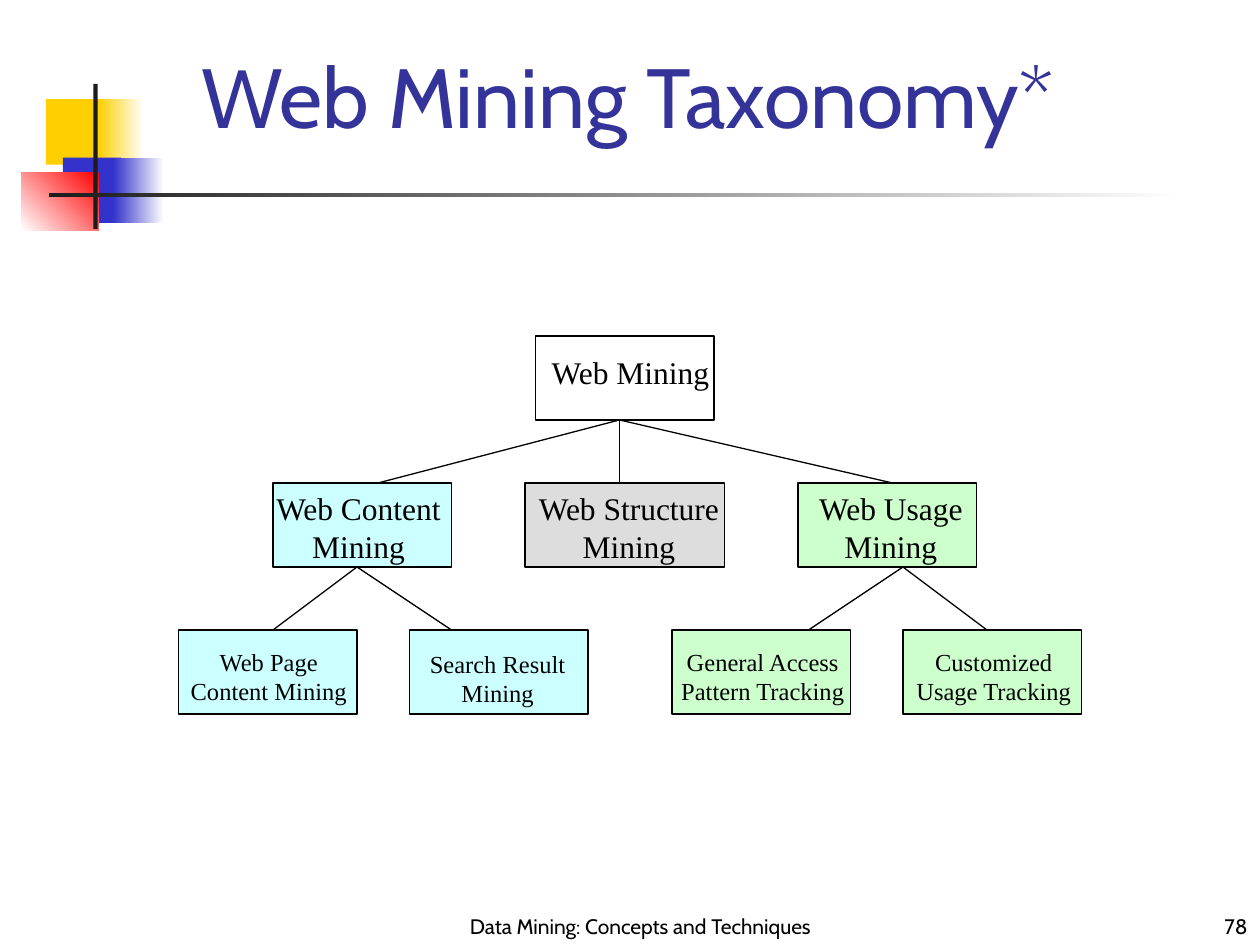
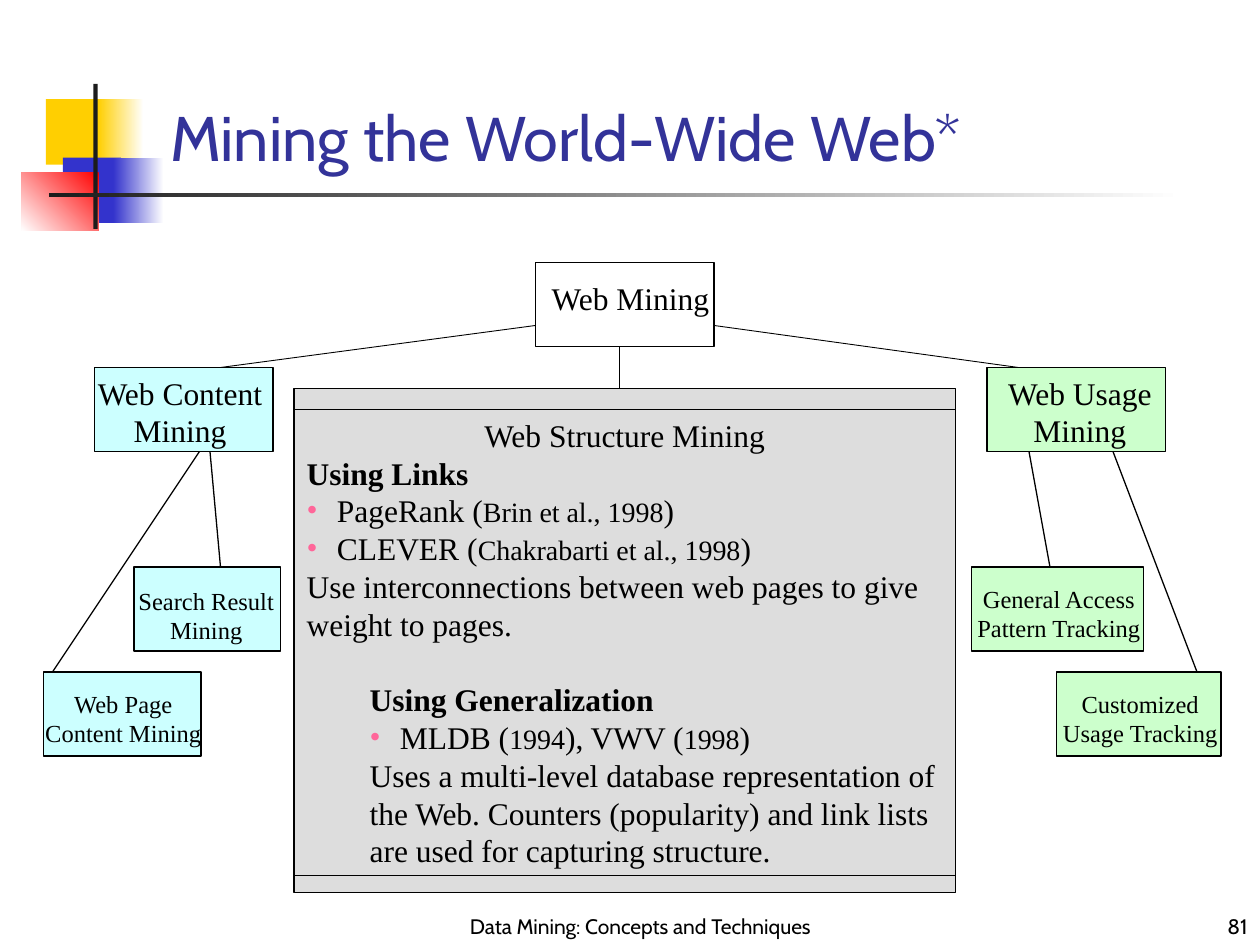
from dataclasses import dataclass

from lxml.etree import SubElement as Sub
from pptx import Presentation
from pptx.dml.color import RGBColor as Rgb
from pptx.enum.shapes import MSO_CONNECTOR as Conn, MSO_SHAPE as Kind
from pptx.enum.text import MSO_ANCHOR as Anchor, MSO_AUTO_SIZE as Fit, PP_ALIGN as Align
from pptx.oxml.ns import qn
from pptx.util import Inches, Length, Pt


# Theme: colours, fonts and sizes
@dataclass(frozen=True)
class Theme:
    ink: str = "000000"
    title: str = "333399"
    white: str = "FFFFFF"
    gold: str = "FFCF01"
    blue: str = "3333CC"
    red: str = "FF0000"
    dark: str = "1C1C1C"
    aqua: str = "CCFFFF"
    green: str = "CCFFCC"
    grey: str = "DDDDDD"
    pink: str = "FF6699"
    sans: str = "Cabin"
    serif: str = "Times New Roman"
    big: int = 18
    cite: int = 16
    small: int = 14
    foot: int = 12
    rule: float = 0.75
    thin: float = 0.5


T = Theme()
COLS, ROWS = 120, 90  # twelve grid steps to the inch
FOOTER = "Data Mining: Concepts and Techniques"
Point = tuple[float, float]
Area = tuple[float, float, float, float]


@dataclass(frozen=True)
class Topic:
    lines: tuple[str, ...]
    fill: str | None
    size: int
    wide: float  # label width
    shift: float = 0  # label centre against box centre
    drop: float = 0  # label top against box top


@dataclass(frozen=True)
class Node:
    topic: Topic
    left: float
    top: float
    wide: float = 17
    high: float = 8


@dataclass(frozen=True)
class Link:
    start: Point
    ends: tuple[Point, ...]
    width: float = T.rule


@dataclass(frozen=True)
class Band:
    area: Area
    color: str
    fade: str | None = None
    angle: int = 180


@dataclass(frozen=True)
class Para:
    text: str  # parts between bars are set in the citation size
    bold: bool = False
    bullet: bool = False
    center: bool = False
    level: int = 0
    gap: float = 0


# Corner motif and title rule
BANDS = (
    Band((4.38, 9.45, 5.76, 6.24), T.gold),
    Band((9.36, 9.45, 4.32, 6.24), T.white, T.gold),
    Band((6, 15, 5.52, 6.24), T.blue),
    Band((10.8, 15, 4.8, 6.24), T.white, T.blue),
    Band((2.04, 16.4, 7.36, 5.56), T.red, T.white, 225),
    Band((8.9, 8, 0.4, 13.8), T.dark),
    Band((4.68, 18.36, 108, 0.42), T.white, T.dark),
)

# Topics of the taxonomy
ROOT = Topic(("Web Mining",), None, T.big, 17.6, 0.55, 1)
CONTENT = Topic(("Web Content", "Mining"), T.aqua, T.big, 18.2, -0.35)
STRUCT = Topic(("Web Structure", "Mining"), T.grey, T.big, 19.8, 0.4)
USAGE = Topic(("Web Usage", "Mining"), T.green, T.big, 16.3, 0.35)
PAGE = Topic(("Web Page", "Content Mining"), T.aqua, T.small, 17.3, 0.1, 1)
SEARCH = Topic(("Search Result", "Mining"), T.aqua, T.small, 15.4, -0.1, 1.2)
ACCESS = Topic(("General Access", "Pattern Tracking"), T.green, T.small, 18, 0.15, 1)
CUSTOM = Topic(("Customized", "Usage Tracking"), T.green, T.small, 17.3, 0.15, 1)

TREE = (
    Node(ROOT, 51, 32), Node(CONTENT, 26, 46), Node(STRUCT, 50, 46, 19),
    Node(USAGE, 76, 46), Node(PAGE, 17, 60), Node(SEARCH, 39, 60),
    Node(ACCESS, 64, 60), Node(CUSTOM, 86, 60),
)
TREE_LINKS = (
    Link((59, 40), ((36, 46), (59, 46), (85, 46))),
    Link((34, 54), ((26, 60), (43, 60))),
    Link((86, 54), ((77, 60), (94, 60))),
)
SIDES = (
    Node(ROOT, 51, 25), Node(CONTENT, 9, 35), Node(SEARCH, 12.75, 54, 14),
    Node(PAGE, 4.15, 64, 15), Node(USAGE, 94, 35),
    Node(ACCESS, 92.5, 54, 16.4), Node(CUSTOM, 100.6, 64, 15.7),
)
SIDE_LINKS = (
    Link((59, 33), ((59, 37),)),
    Link((51, 31), ((21, 35),), T.thin),
    Link((68, 31), ((97, 35),), T.thin),
    Link((20, 43), ((21, 54),)),
    Link((19, 43), ((5, 64),)),
    Link((98, 43), ((100, 54),)),
    Link((106, 43), ((114, 64),)),
)
PANEL: Area = (28, 37, 63, 48)
DETAIL: Area = (28, 39, 63, 44.4)
NOTES = (
    Para("Web Structure Mining", center=True),
    Para("Using Links", bold=True),
    Para("PageRank (|Brin et al., 1998|)", bullet=True),
    Para("CLEVER (|Chakrabarti et al., 1998|)", bullet=True),
    Para("Use interconnections between web pages to give weight to pages."),
    Para("Using Generalization", bold=True, level=1, gap=21.5),
    Para("MLDB (|1994|), VWV (|1998|)", bullet=True, level=1),
    Para("Uses a multi-level database representation of the Web. Counters "
         "(popularity) and link lists are used for capturing structure.", level=1),
)


# Drawing helpers
def unit(n: float) -> Length:
    return Inches(n / 12)


def place(shape, area: Area) -> None:
    shape.left, shape.top, shape.width, shape.height = map(unit, area)


def style(para, size: int, face: str, color: str = T.ink, bold: bool = False) -> None:
    font = para.font
    font.size, font.name, font.bold = Pt(size), face, bold
    font.color.rgb = Rgb.from_string(color)


def edge(shape, width: float) -> None:
    shape.line.color.rgb = Rgb.from_string(T.ink)
    shape.line.width = Pt(width)


def rect(slide, area: Area, fill: str | None, width: float = 0):
    box = slide.shapes.add_shape(Kind.RECTANGLE, *map(unit, area))
    box.shadow.inherit = False
    if fill:
        box.fill.solid()
        box.fill.fore_color.rgb = Rgb.from_string(fill)
    else:
        box.fill.background()
    if width:
        edge(box, width)
    else:
        box.line.fill.background()
    return box


def band(slide, item: Band) -> None:
    box = rect(slide, item.area, item.color)
    if item.fade:
        box.fill.gradient()
        box.fill.gradient_angle = item.angle
        for stop, tint in zip(box.fill.gradient_stops, (item.color, item.fade)):
            stop.color.rgb = Rgb.from_string(tint)


def write(slide, area: Area, lines: tuple[str, ...], size: int, face: str,
          align: Align, anchor: Anchor = Anchor.TOP, wrap: bool = True) -> None:
    frame = slide.shapes.add_textbox(*map(unit, area)).text_frame
    frame.word_wrap, frame.vertical_anchor = wrap, anchor
    frame.text = "\n".join(lines)
    for para in frame.paragraphs:
        para.alignment = align
        style(para, size, face)


def draw_node(slide, node: Node) -> None:
    topic = node.topic
    rect(slide, (node.left, node.top, node.wide, node.high), topic.fill, T.rule)
    left = node.left + (node.wide - topic.wide) / 2 + topic.shift
    high = len(topic.lines) * topic.size / 5 + 1.2
    write(slide, (left, node.top + topic.drop, topic.wide, high), topic.lines,
          topic.size, T.serif, Align.CENTER, wrap=False)


def draw_link(slide, link: Link) -> None:
    for end in link.ends:
        line = slide.shapes.add_connector(
            Conn.STRAIGHT, *map(unit, (*link.start, *end)))
        edge(line, link.width)
        Sub(line.element.spPr, qn("a:effectLst"))


def mark(para, bullet: bool, level: int) -> None:
    props = para._p.get_or_add_pPr()
    hang = Inches(0.24) if bullet else 0
    props.set("marL", str(Inches(0.5 * level) + hang))
    props.set("indent", str(-hang))
    if bullet:
        Sub(Sub(props, qn("a:buClr")), qn("a:srgbClr"), val=T.pink)
        Sub(props, qn("a:buFont"), typeface=T.serif)
        Sub(props, qn("a:buChar"), char="•")
    else:
        Sub(props, qn("a:buNone"))


def fill_body(slide, area: Area, notes: tuple[Para, ...]) -> None:
    body = slide.placeholders[1]
    place(body, area)
    edge(body, T.thin)
    slide.shapes.element.append(body.element)  # bring in front of the panel
    frame = body.text_frame
    frame.auto_size, frame.vertical_anchor = Fit.NONE, Anchor.TOP
    for i, note in enumerate(notes):
        para = frame.add_paragraph() if i else frame.paragraphs[0]
        para.alignment = Align.CENTER if note.center else Align.LEFT
        para.space_before = Pt(note.gap)
        mark(para, note.bullet, note.level)
        style(para, T.big, T.serif, bold=note.bold)
        for j, part in enumerate(note.text.split("|")):
            run = para.add_run()
            run.text = part
            if j % 2:
                run.font.size = Pt(T.cite)


def new_slide(deck, layout: int, title: str, area: Area, size: int, page: int):
    slide = deck.slides.add_slide(deck.slide_layouts[layout])
    for item in BANDS:
        band(slide, item)
    head = slide.shapes.title
    place(head, area)
    frame = head.text_frame
    frame.text = title
    frame.auto_size, frame.vertical_anchor = Fit.NONE, Anchor.MIDDLE
    frame.paragraphs[0].alignment = Align.LEFT
    style(frame.paragraphs[0], size, T.sans, T.title)
    write(slide, (42, 83, 38, 7), (FOOTER,), T.foot, T.sans, Align.CENTER, Anchor.BOTTOM)
    write(slide, (95, 84, 25, 6), (str(page),), T.foot, T.sans, Align.RIGHT, Anchor.BOTTOM)
    return slide


def draw_tree(slide, nodes: tuple[Node, ...], links: tuple[Link, ...]) -> None:
    for link in links:
        draw_link(slide, link)
    for node in nodes:
        draw_node(slide, node)


def main() -> None:
    deck = Presentation()
    deck.slide_width, deck.slide_height = unit(COLS), unit(ROWS)

    # Taxonomy tree
    slide = new_slide(deck, 5, "Web Mining Taxonomy*", (18, 5, 93.2, 8), 48, 78)
    draw_tree(slide, TREE, TREE_LINKS)

    # Structure mining in detail
    slide = new_slide(deck, 1, "Mining the World-Wide Web*", (15, 9, 102.2, 8), 36, 81)
    rect(slide, PANEL, T.grey, T.rule)
    draw_tree(slide, SIDES, SIDE_LINKS)
    fill_body(slide, DETAIL, NOTES)

    deck.save("out.pptx")


if __name__ == "__main__":
    main()
